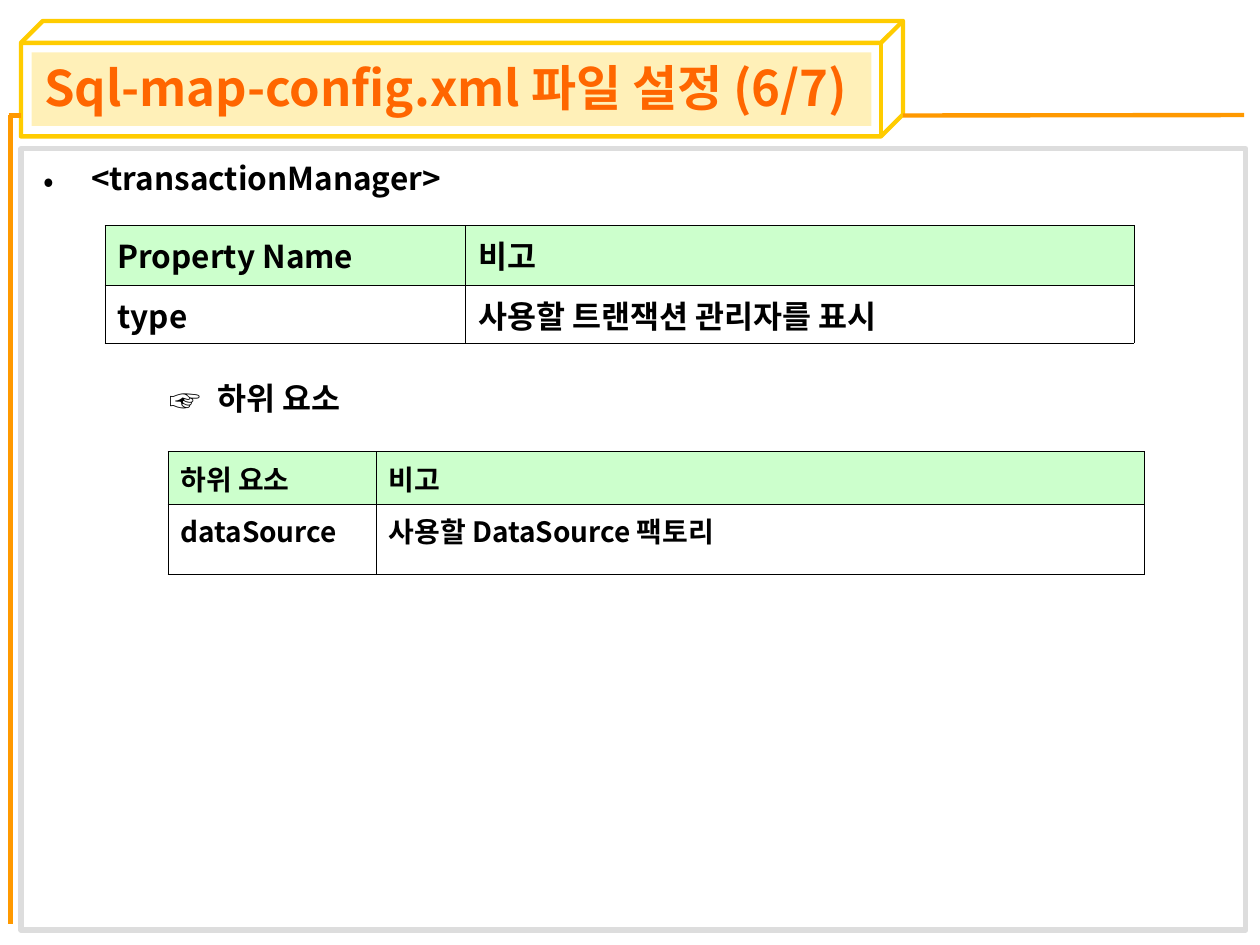
from lxml import etree
from pptx import Presentation
from pptx import util as u
from pptx.dml.color import RGBColor
from pptx.enum import shapes, text
from pptx.oxml import ns

Pt = u.Pt
FONT = "Noto Sans CJK KR"


def paint(fill, color, opacity=100):
    """Make a fill (of a shape, line, font or cell) solid, with opacity in percent."""
    fill.solid()
    fill.fore_color.rgb = RGBColor.from_string(color)
    if opacity < 100:
        tint = fill._xPr.find(".//" + ns.qn("a:srgbClr"))
        etree.SubElement(tint, ns.qn("a:alpha"), val=str(opacity * 1000))


def style(para, size, color="000000"):
    font = para.font
    font.size, font.bold, font.name = Pt(size), True, FONT
    paint(font.fill, color)
    etree.SubElement(font._element, ns.qn("a:ea"), typeface=FONT)


deck = Presentation()
deck.slide_width, deck.slide_height = Pt(720), Pt(540)
page = deck.slides.add_slide(deck.slide_layouts[5])

# Frame: title cube, title band and content border
frame = [
    (shapes.MSO_SHAPE.CUBE, (12, 12, 504, 66), None, "FFCC00", 2.5),
    (shapes.MSO_SHAPE.RECTANGLE, (18, 30, 480, 42), "FFCC00", None, 0),
    (shapes.MSO_SHAPE.RECTANGLE, (12, 85, 700, 446.5), None, "DDDDDD", 3),
]
for kind, place, fill, line, width in frame:
    shape = page.shapes.add_shape(kind, *map(Pt, place))
    shape.shadow.inherit = False
    if kind == shapes.MSO_SHAPE.CUBE:
        shape.adjustments[0] = 0.19
    if fill:
        paint(shape.fill, fill, opacity=28)
    else:
        shape.fill.background()
    if line:
        paint(shape.line.fill, line)
        shape.line.width = Pt(width)
    else:
        shape.line.fill.background()

for ends in [(6, 66, 6, 528), (516, 66, 711, 65.75), (5, 66, 12, 66)]:
    rule = page.shapes.add_connector(shapes.MSO_CONNECTOR.STRAIGHT, *map(Pt, ends))
    paint(rule.line.fill, "FF9900")
    rule.line.width = Pt(2.5)
    etree.SubElement(rule._element.spPr, ns.qn("a:effectLst"))

# Title, brought in front of its band
title = page.shapes.title
title.left, title.top, title.width, title.height = map(Pt, (18, 32.5, 648, 38))
page.shapes._spTree.append(title._element)
frame_text = title.text_frame
frame_text.text = "Sql-map-config.xml 파일 설정 (6/7)"
frame_text.auto_size = text.MSO_AUTO_SIZE.NONE
frame_text.vertical_anchor = text.MSO_ANCHOR.MIDDLE
frame_text.word_wrap = True
frame_text.margin_top = frame_text.margin_bottom = 0
heading = frame_text.paragraphs[0]
heading.alignment = text.PP_ALIGN.LEFT
heading.line_spacing = 0.9
style(heading, 28, "FF6600")

# Bulleted headings above the two tables
box = page.shapes.add_textbox(Pt(18), Pt(90), Pt(660), Pt(173))
box.text_frame.word_wrap = True
bullets = [("•", "<transactionManager>", 27, 0), ("☞", "하위 요소", 99, 106)]
for index, (mark, words, indent, gap) in enumerate(bullets):
    para = box.text_frame.paragraphs[0] if index == 0 else box.text_frame.add_paragraph()
    para.text = words
    para.line_spacing = 0.9
    if gap:
        para.space_before = Pt(gap)
    props = para._p.get_or_add_pPr()
    props.set("marL", str(Pt(indent)))
    props.set("indent", str(Pt(-27)))
    etree.SubElement(props, ns.qn("a:buFont"), typeface=FONT)
    etree.SubElement(props, ns.qn("a:buChar"), char=mark)
    style(para, 18)

# Tables: place, column widths, row heights, text size, header opacity, rows
tables = [
    ((60, 129), (206, 382), (34, 33), 18, 100,
     [("Property Name", "비고"), ("type", "사용할 트랜잭션 관리자를 표시")]),
    ((96, 258), (119, 439), (30, 40), 16, 50,
     [("하위 요소", "비고"), ("dataSource", "사용할 DataSource 팩토리")]),
]
for (left, top), widths, heights, size, opacity, rows in tables:
    table = page.shapes.add_table(len(rows), len(widths), Pt(left), Pt(top),
                                  Pt(sum(widths)), Pt(sum(heights))).table
    table.first_row = table.horz_banding = False
    for column, width in zip(table.columns, widths):
        column.width = Pt(width)
    for row, height, entries in zip(table.rows, heights, rows):
        row.height = Pt(height)
        for cell, words in zip(row.cells, entries):
            cell.text = words
            style(cell.text_frame.paragraphs[0], size)
            props = cell._tc.get_or_add_tcPr()
            for side in ("lnL", "lnR", "lnT", "lnB"):
                border = etree.SubElement(props, ns.qn("a:" + side), w=str(Pt(0.45)))
                ink = etree.SubElement(border, ns.qn("a:solidFill"))
                etree.SubElement(ink, ns.qn("a:srgbClr"), val="000000")
            if entries is rows[0]:
                paint(cell.fill, "CCFFCC", opacity)
            else:
                cell.fill.background()

deck.save("out.pptx")
